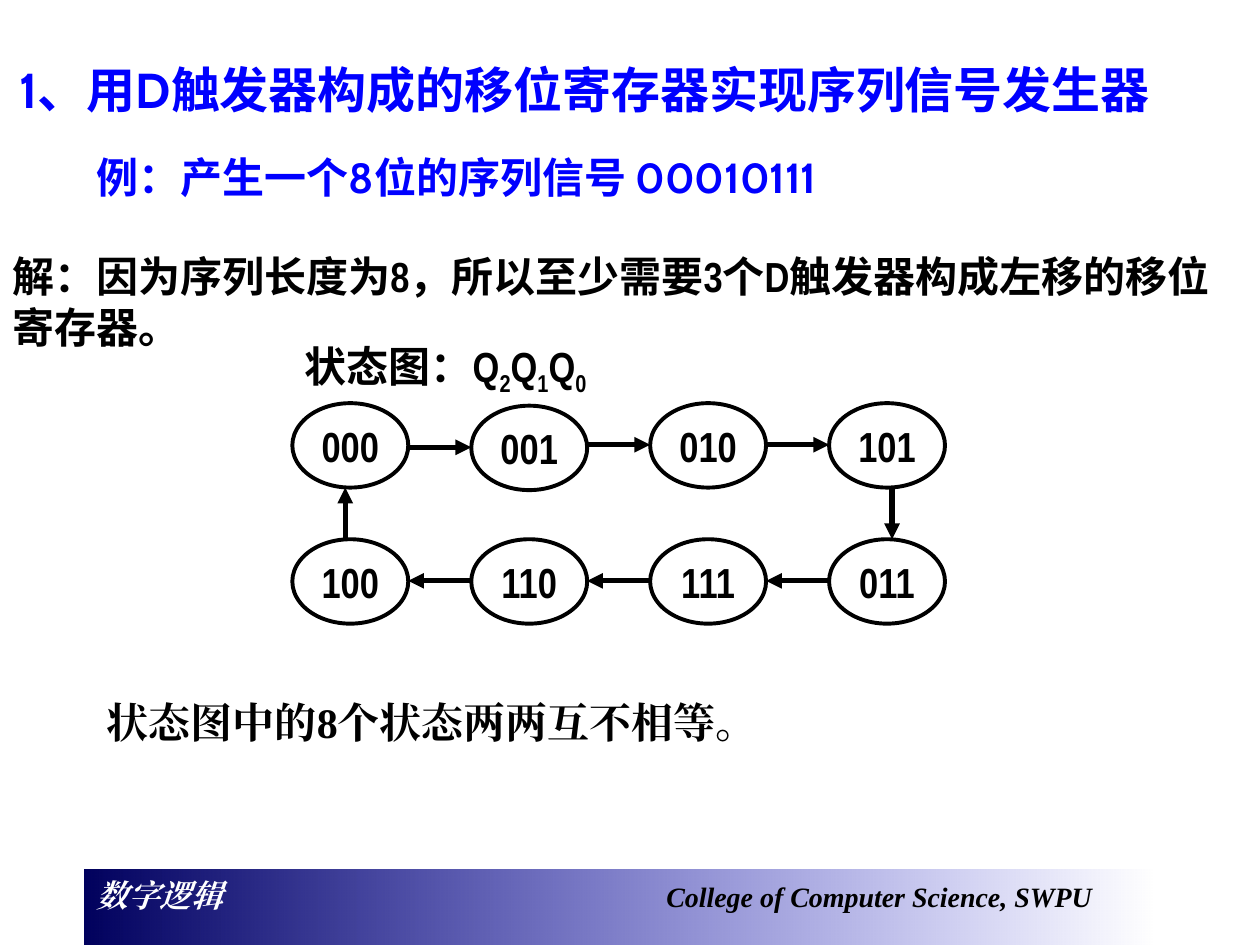
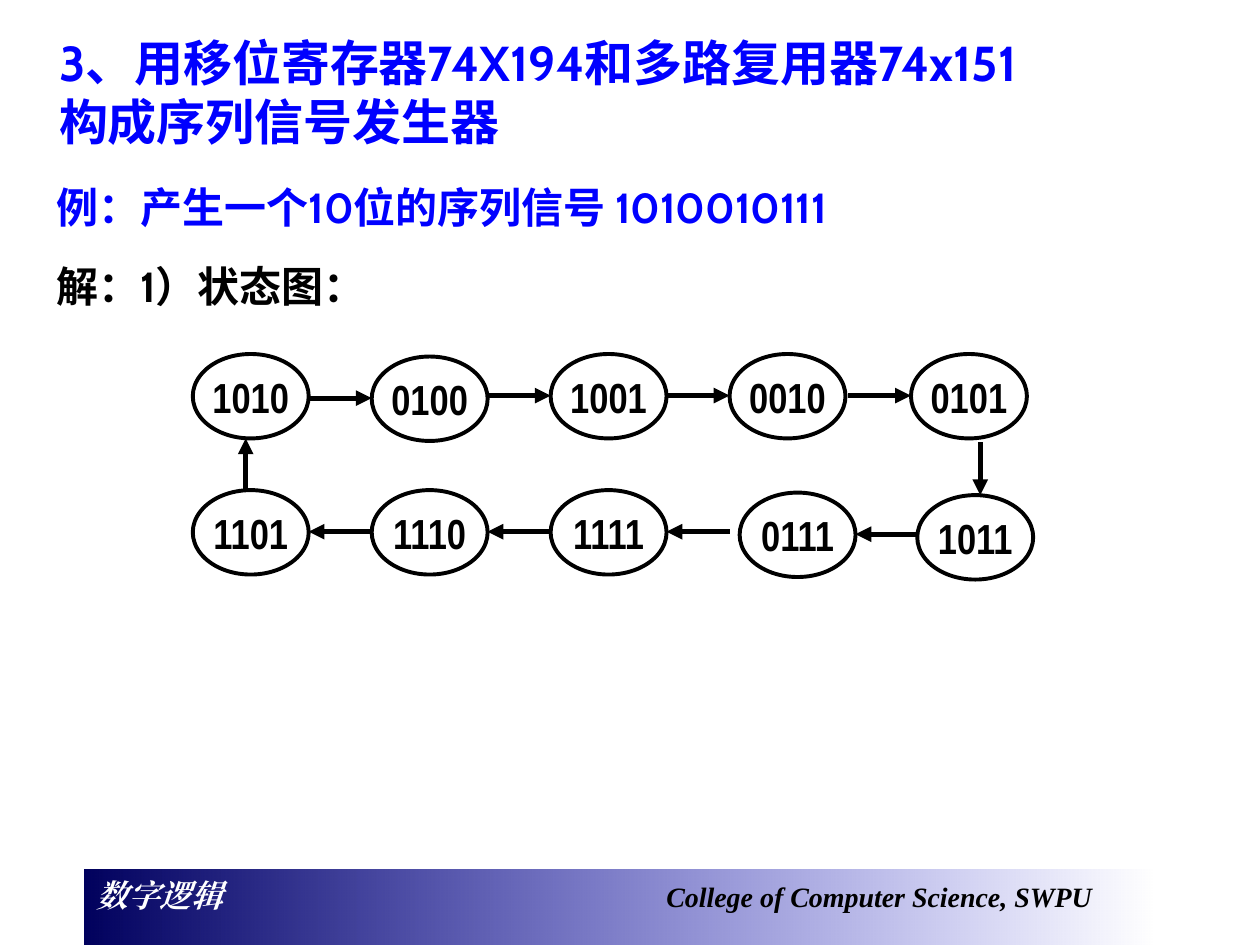
import pptx
import pptx.dml.color
import pptx.enum.shapes
import pptx.enum.text
import pptx.oxml
import pptx.oxml.ns
import pptx.util

SCALE = 9144
BLACK = pptx.dml.color.RGBColor(0x00, 0x00, 0x00)
WHITE = pptx.dml.color.RGBColor(0xFF, 0xFF, 0xFF)
BLUE = pptx.dml.color.RGBColor(0x00, 0x00, 0xFF)
NAVY = pptx.dml.color.RGBColor(0x00, 0x00, 0x5E)
ROYAL = pptx.dml.color.RGBColor(0x00, 0x00, 0xCC)
HEADING = "Cabin"
BODY = "Times New Roman"
NARROW = "Arial Narrow"
CHINESE = "Noto Sans CJK JP"
STATE_W, STATE_H, STATE_STEP = 92, 67, 142
ROW_STEP = 108
ARROW_ACROSS, ARROW_DOWN = 50, 42


def px(length):
    return pptx.util.Emu(length * SCALE)


def add_xml(parent, tag, **attributes):
    child = parent.makeelement(pptx.oxml.ns.qn(tag), attributes)
    parent.append(child)
    return child


def write(frame, text, size=24, face=NARROW, color=BLACK, italic=False,
          align=None, tab=None):
    paragraphs = [[(text, {})]] if isinstance(text, str) else text
    for index, pieces in enumerate(paragraphs):
        paragraph = frame.add_paragraph() if index else frame.paragraphs[0]
        paragraph.alignment = align
        if tab:
            stops = add_xml(paragraph._p.get_or_add_pPr(), "a:tabLst")
            add_xml(stops, "a:tab", pos=str(px(tab)), algn="l")
        for words, change in pieces:
            run = paragraph.add_run()
            run.text = words
            run.font.size = pptx.util.Pt(change.get("size", size))
            run.font.name = change.get("face", face)
            run.font.color.rgb = change.get("color", color)
            run.font.bold = True
            run.font.italic = italic
            properties = run._r.get_or_add_rPr()
            properties.set("lang", "zh-CN")
            add_xml(properties, "a:ea", typeface=face)
            if "baseline" in change:
                properties.set("baseline", str(change["baseline"] * 1000))


class Deck:
    def __init__(self):
        self.presentation = pptx.Presentation()
        self.presentation.slide_width = px(1000)
        self.presentation.slide_height = px(750)
        self.slide = None

    def new_slide(self):
        blank = self.presentation.slide_layouts[6]
        self.slide = self.presentation.slides.add_slide(blank)
        self.footer()

    def shape(self, kind, left, top, width, height):
        shape = self.slide.shapes.add_shape(
            kind, px(left), px(top), px(width), px(height))
        shape.shadow.inherit = False
        return shape

    def footer(self):
        band = self.shape(pptx.enum.shapes.MSO_SHAPE.RECTANGLE, 67, 690, 850, 70)
        band.line.fill.background()
        band.fill.gradient()
        band.fill.gradient_angle = 0
        for stop, color in zip(band.fill.gradient_stops, (NAVY, ROYAL)):
            stop.color.rgb = color
        fade = list(band.element.spPr.iter(pptx.oxml.ns.qn("a:srgbClr")))[-1]
        add_xml(fade, "a:alpha", val="0")
        band.text_frame.vertical_anchor = pptx.enum.text.MSO_ANCHOR.TOP
        write(band.text_frame,
              [[("数字逻辑\t", {}),
                ("College of Computer Science, SWPU", {"size": 16, "color": BLACK})]],
              size=18, face=BODY, color=WHITE, italic=True, tab=452,
              align=pptx.enum.text.PP_ALIGN.LEFT)

    def text(self, left, top, width, height, text, wrap=True, **style):
        box = self.slide.shapes.add_textbox(
            px(left), px(top), px(width), px(height))
        box.text_frame.word_wrap = wrap
        box.text_frame.auto_size = pptx.enum.text.MSO_AUTO_SIZE.SHAPE_TO_FIT_TEXT
        write(box.text_frame, text, **style)

    def title(self, left, top, width, height, text):
        self.text(left, top, width, height, text, wrap=False,
                  size=28, face=HEADING, color=BLUE)

    def example(self, left, top, width, text):
        self.text(left, top, width, 50, text, face=HEADING, color=BLUE)

    def state(self, left, top, label):
        oval = self.shape(pptx.enum.shapes.MSO_SHAPE.OVAL,
                          left, top, STATE_W, STATE_H)
        oval.fill.background()
        oval.line.color.rgb = BLACK
        oval.line.width = pptx.util.Pt(2.25)
        oval.text_frame.word_wrap = False
        oval.text_frame.vertical_anchor = pptx.enum.text.MSO_ANCHOR.MIDDLE
        write(oval.text_frame, label, align=pptx.enum.text.PP_ALIGN.CENTER)

    def arrow(self, start_x, start_y, end_x, end_y):
        arrow = self.slide.shapes.add_connector(
            pptx.enum.shapes.MSO_CONNECTOR.STRAIGHT,
            px(start_x), px(start_y), px(end_x), px(end_y))
        arrow.line.color.rgb = BLACK
        arrow.line.width = pptx.util.Pt(3)
        properties = arrow.element.spPr
        add_xml(properties.find(pptx.oxml.ns.qn("a:ln")), "a:tailEnd", type="triangle")
        add_xml(properties, "a:effectLst")

    def arrow_into(self, left, top, heading):
        middle = top + 33
        right, bottom = left + STATE_W, top + STATE_H
        ends = {
            "right": (left - ARROW_ACROSS, middle, left, middle),
            "left": (right + ARROW_ACROSS, middle, right, middle),
            "down": (left + 50, top - ARROW_DOWN, left + 50, top),
            "up": (left + 42, bottom + ARROW_DOWN, left + 42, bottom),
        }
        self.arrow(*ends[heading])

    def state_ring(self, left, top, labels, nudges):
        columns = len(labels) // 2
        for index, label in enumerate(labels):
            row, place = divmod(index, columns)
            column = columns - 1 - place if row else place
            shift_x, shift_y = nudges.get(label, (0, 0))
            x = left + column * STATE_STEP + shift_x
            y = top + row * ROW_STEP + shift_y
            turn, onward = (("up", "right"), ("down", "left"))[row]
            self.state(x, y, label)
            self.arrow_into(x, y, onward if place else turn)


def flip_flop_slide(deck):
    deck.new_slide()
    deck.title(6, 42, 953, 57, [[
        ("1、用D触发器构成的移位寄存器实现", {}),
        ("序列信号发生器", {"face": CHINESE})]])
    deck.example(67, 115, 625, "例：产生一个8位的序列信号 00010111")
    deck.text(0, 194, 1000, 90,
              "解：因为序列长度为8，所以至少需要3个D触发器构成左移的移位寄存器。")
    below = {"baseline": -25}
    deck.text(232, 265, 315, 56, [[
        ("状态图：Q", {}), ("2", below), ("Q", {}), ("1", below),
        ("Q", {}), ("0", below)]])
    deck.state_ring(
        232, 320,
        ["000", "001", "010", "101", "011", "111", "110", "100"],
        {"001": (0, 2)})
    deck.text(75, 548, 811, 50, "状态图中的8个状态两两互不相等。", face=BODY)


def multiplexer_slide(deck):
    deck.new_slide()
    deck.title(37, 21, 855, 104, [
        [("3、用移位寄存器74X194和多路复用器74x151", {})],
        [("构成", {}), ("序列信号发生器", {"face": CHINESE})]])
    deck.example(35, 139, 772, "例：产生一个10位的序列信号 1010010111")
    deck.text(35, 202, 795, 50, "解：1）状态图：", face=HEADING)
    deck.state_ring(
        153, 281,
        ["1010", "0100", "1001", "0010", "0101",
         "1011", "0111", "1111", "1110", "1101"],
        {"0100": (0, 2), "0101": (2, 0), "1011": (7, 4), "0111": (8, 2)})


def main():
    deck = Deck()
    flip_flop_slide(deck)
    multiplexer_slide(deck)
    deck.presentation.save("out.pptx")


if __name__ == "__main__":
    main()
